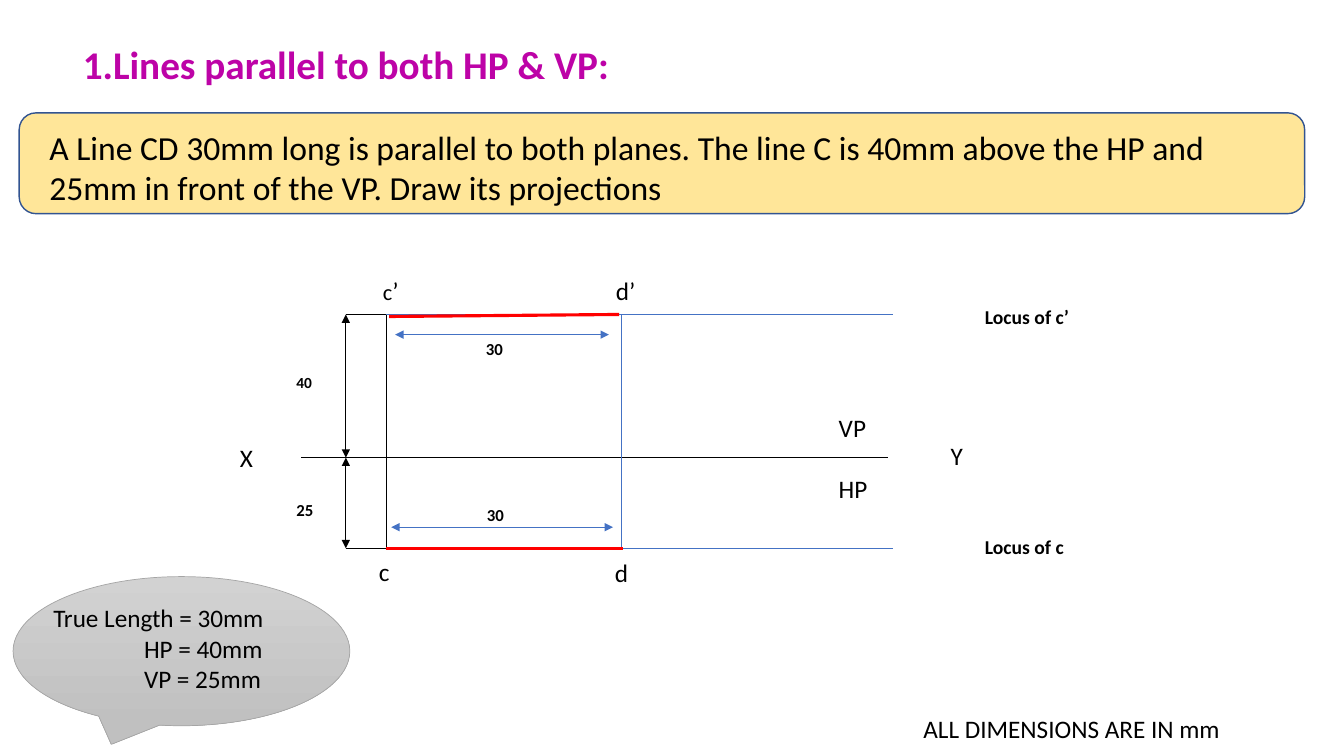
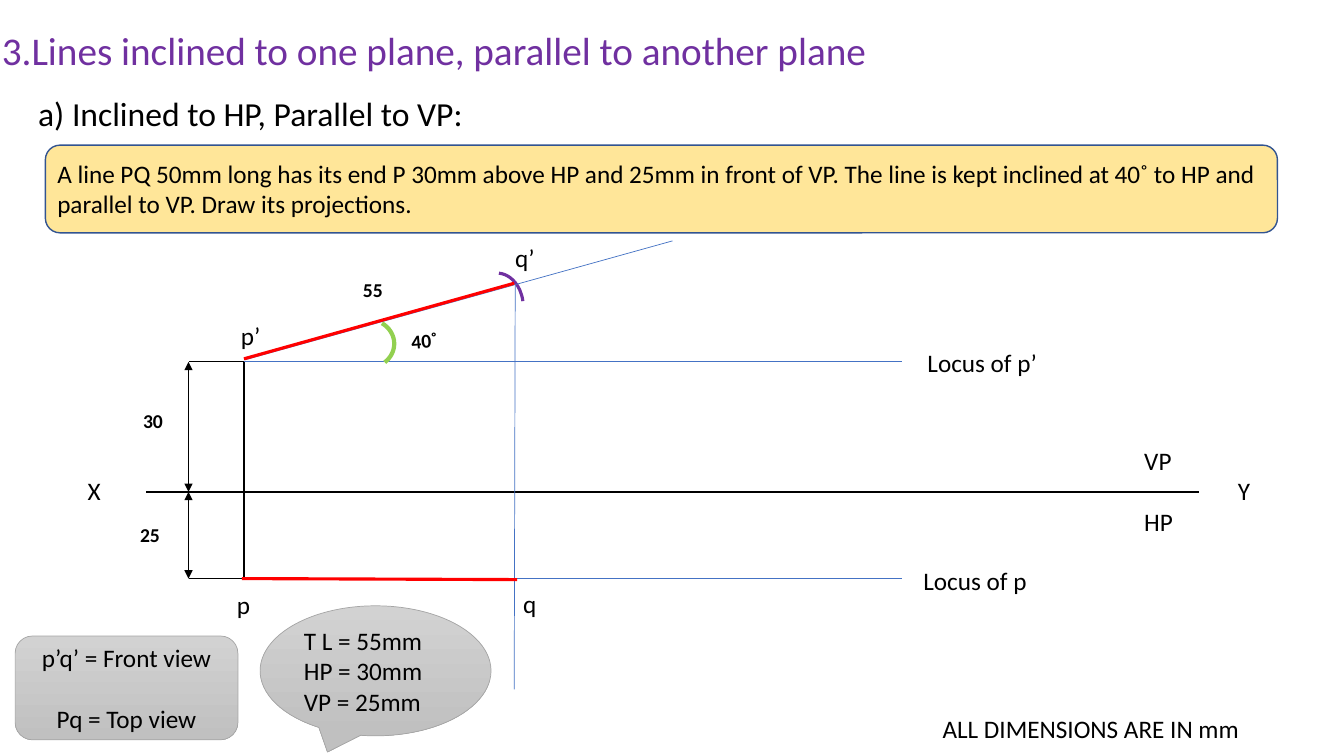
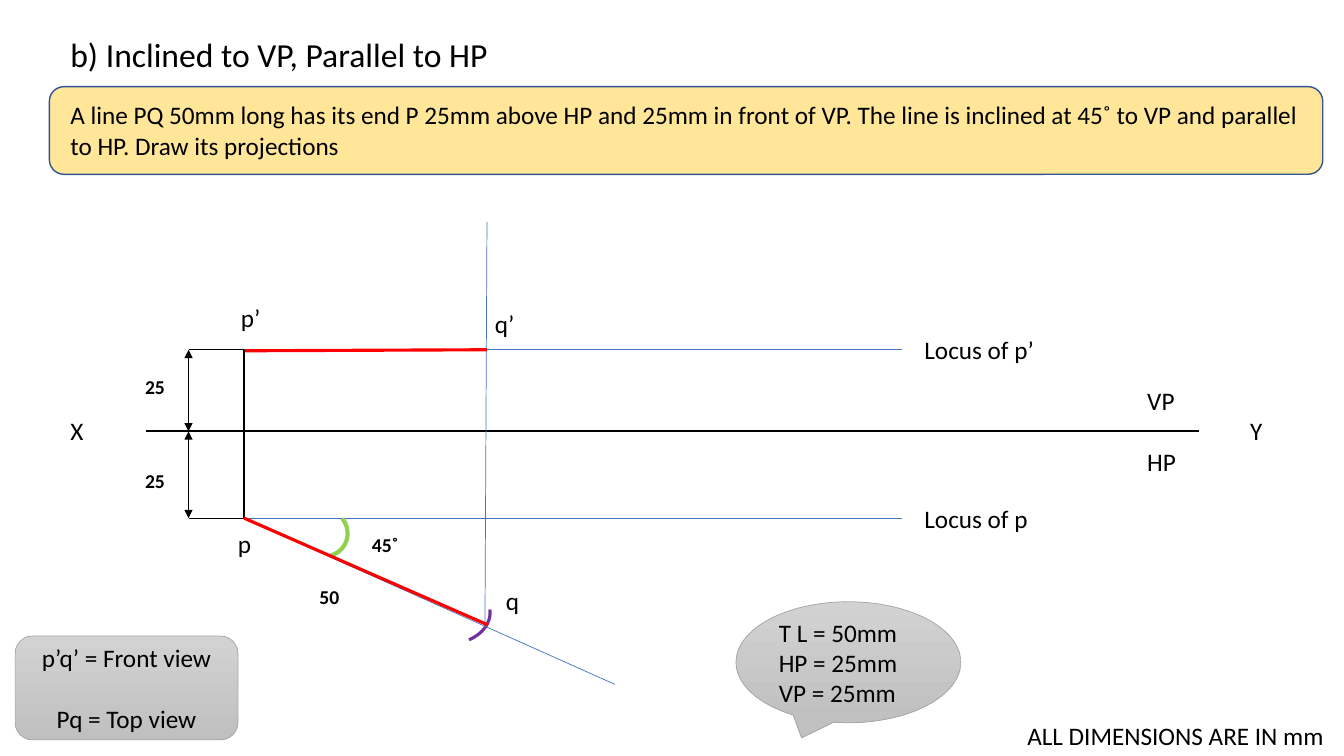
from dataclasses import dataclass

from lxml import etree
from pptx import Presentation
from pptx.dml.color import RGBColor
from pptx.enum.shapes import MSO_CONNECTOR, MSO_SHAPE
from pptx.enum.text import MSO_ANCHOR, MSO_AUTO_SIZE, PP_ALIGN
from pptx.oxml.ns import qn
from pptx.util import Inches, Pt

STRAIGHT = MSO_CONNECTOR.STRAIGHT
ARC = MSO_SHAPE.ARC
ROUNDED = MSO_SHAPE.ROUNDED_RECTANGLE
PROCESS = MSO_SHAPE.FLOWCHART_ALTERNATE_PROCESS
BUBBLE = MSO_SHAPE.OVAL_CALLOUT
LEFT, CENTER = PP_ALIGN.LEFT, PP_ALIGN.CENTER
MIDDLE = MSO_ANCHOR.MIDDLE
FIT_SHAPE = MSO_AUTO_SIZE.SHAPE_TO_FIT_TEXT


@dataclass(frozen=True)
class Theme:
    font: str = "Calibri"
    ink: RGBColor = RGBColor(0x00, 0x00, 0x00)
    paper: RGBColor = RGBColor(0xFF, 0xFF, 0xFF)
    magenta: RGBColor = RGBColor(0xBD, 0x03, 0xA7)
    purple: RGBColor = RGBColor(0x70, 0x30, 0xA0)
    blue: RGBColor = RGBColor(0x44, 0x72, 0xC4)
    red: RGBColor = RGBColor(0xFF, 0x00, 0x00)
    green: RGBColor = RGBColor(0x92, 0xD0, 0x50)
    cream: RGBColor = RGBColor(0xFF, 0xE6, 0x99)
    cream_edge: RGBColor = RGBColor(0x32, 0x54, 0x91)
    gray_top: RGBColor = RGBColor(0xD2, 0xD2, 0xD2)
    gray_bottom: RGBColor = RGBColor(0xC0, 0xC0, 0xC0)
    gray_edge: RGBColor = RGBColor(0xA5, 0xA5, 0xA5)
    title: float = 28
    heading: float = 24
    body: float = 18
    locus: float = 14
    dimension: float = 12
    blank_line: float = 22
    thin: float = 0.5
    axis: float = 1.5
    bold_line: float = 2.25
    angle_line: float = 3


THEME = Theme()


@dataclass(frozen=True)
class Label:
    lines: tuple[str, ...]
    left: float
    top: float
    width: float
    height: float = 0.4
    size: float = THEME.body
    color: RGBColor = THEME.ink
    bold: bool = False
    align: PP_ALIGN = LEFT
    wrap: bool = True
    gap: float = 0
    indent: float = 0
    rotation: float = 0
    prime: str = ""


@dataclass(frozen=True)
class Panel:
    kind: MSO_SHAPE
    left: float
    top: float
    width: float
    height: float
    lines: tuple[str, ...] = ()
    align: PP_ALIGN = LEFT
    gap: float = 0
    gray: bool = True


@dataclass(frozen=True)
class Segment:
    start: tuple[float, float]
    end: tuple[float, float]
    color: RGBColor = THEME.ink
    width: float = THEME.thin
    arrows: bool = False


@dataclass(frozen=True)
class Arc:
    left: float
    top: float
    height: float
    start_angle: float
    end_angle: float
    color: RGBColor
    line_width: float
    rotation: float = 0
    filled: bool = False


@dataclass(frozen=True)
class Projection:
    axis: float
    top: float
    bottom: float
    axis_start: float = 1.45
    axis_end: float = 11.89
    upright: float = 2.42
    ladder: float = 1.87
    locus_end: float = 8.95
    width: float = THEME.axis


@dataclass(frozen=True)
class Sheet:
    projection: Projection
    panels: tuple[Panel, ...]
    segments: tuple[Segment, ...]
    labels: tuple[Label, ...]
    arcs: tuple[Arc, ...] = ()


def write_lines(frame, lines, size, align=LEFT, color=THEME.ink, bold=False, gap=0, indent=0) -> None:
    for index, line in enumerate(lines):
        para = frame.paragraphs[0] if index == 0 else frame.add_paragraph()
        para.alignment = align
        if index and gap:
            para.space_before = Pt(gap)
        if index and indent:
            para._p.get_or_add_pPr().set("marL", str(Inches(indent)))
        para.add_run().text = line
        para.font.name = THEME.font
        para.font.size = Pt(size)
        para.font.bold = bold
        para.font.color.rgb = color


def draw_label(page, label: Label) -> None:
    box = page.shapes.add_textbox(
        Inches(label.left), Inches(label.top), Inches(label.width), Inches(label.height))
    box.rotation = label.rotation
    frame = box.text_frame
    frame.word_wrap = label.wrap
    frame.auto_size = FIT_SHAPE
    write_lines(frame, label.lines, label.size, label.align, label.color,
                label.bold, label.gap, label.indent)
    if label.prime:
        span = frame.paragraphs[0].add_run()
        span.text = label.prime
        span.font.size = Pt(THEME.body)


def draw_panel(page, panel: Panel) -> None:
    shape = page.shapes.add_shape(
        panel.kind, Inches(panel.left), Inches(panel.top), Inches(panel.width), Inches(panel.height))
    shape.shadow.inherit = False
    if panel.gray:
        shape.fill.gradient()
        shape.fill.gradient_angle = 270
        for stop, color in zip(shape.fill.gradient_stops, (THEME.gray_top, THEME.gray_bottom)):
            stop.color.rgb = color
    else:
        shape.fill.solid()
        shape.fill.fore_color.rgb = THEME.cream
    shape.line.color.rgb = THEME.gray_edge if panel.gray else THEME.cream_edge
    shape.line.width = Pt(THEME.thin if panel.gray else 1)
    shape.text_frame.vertical_anchor = MIDDLE
    write_lines(shape.text_frame, panel.lines, THEME.body, panel.align, gap=panel.gap)


def draw_segment(page, segment: Segment) -> None:
    points = [Inches(value) for value in segment.start + segment.end]
    connector = page.shapes.add_connector(STRAIGHT, *points)
    connector.line.color.rgb = segment.color
    connector.line.width = Pt(segment.width)
    properties = connector._element.spPr
    if segment.arrows:
        for end in ("a:headEnd", "a:tailEnd"):
            etree.SubElement(properties.find(qn("a:ln")), qn(end), type="triangle")
    etree.SubElement(properties, qn("a:effectLst"))


def draw_arc(page, arc: Arc) -> None:
    shape = page.shapes.add_shape(
        ARC, Inches(arc.left), Inches(arc.top), Inches(0.52), Inches(arc.height))
    shape.shadow.inherit = False
    shape.rotation = arc.rotation
    for index, angle in enumerate((arc.start_angle, arc.end_angle)):
        shape.adjustments[index] = angle * 0.6
    if arc.filled:
        shape.fill.solid()
        shape.fill.fore_color.rgb = THEME.paper
    else:
        shape.fill.background()
    shape.line.color.rgb = arc.color
    shape.line.width = Pt(arc.line_width)


def draw_projection(page, view: Projection) -> None:
    draw_segment(page, Segment((view.axis_start, view.axis), (view.axis_end, view.axis), width=view.width))
    draw_segment(page, Segment((view.upright, view.top), (view.upright, view.bottom), width=view.width))
    for level in (view.top, view.bottom):
        draw_segment(page, Segment((view.upright, level), (view.ladder, level)))
        draw_segment(page, Segment((view.ladder, level), (view.ladder, view.axis), arrows=True))
        draw_segment(page, Segment((view.upright, level), (view.locus_end, level), THEME.blue))


def draw_sheet(page, sheet: Sheet) -> None:
    for panel in sheet.panels:
        draw_panel(page, panel)
    draw_projection(page, sheet.projection)
    for arc in sheet.arcs:
        draw_arc(page, arc)
    for segment in sheet.segments:
        draw_segment(page, segment)
    for label in sheet.labels:
        draw_label(page, label)


def dimension(text: str, left: float, top: float, size: float = THEME.locus, rotation: float = 0) -> Label:
    height = 0.34 if size == THEME.locus else 0.3
    return Label((text,), left, top, 0.58, height, size, bold=True, rotation=rotation)


def point(text: str, left: float, top: float) -> Label:
    return Label((text,), left, top, 0.45)


def planes(left: float, top: float) -> Label:
    return Label(("VP", "HP"), left, top, 0.65, 1.01, gap=THEME.blank_line)


def units(left: float, top: float = 7.03) -> Label:
    return Label(("ALL DIMENSIONS ARE IN mm",), left, top, 3.25)


def true_line(start: tuple[float, float], end: tuple[float, float]) -> Segment:
    return Segment(start, end, THEME.red, THEME.bold_line)


def guide(start: tuple[float, float], end: tuple[float, float], arrows: bool = False) -> Segment:
    return Segment(start, end, THEME.blue, arrows=arrows)


def angle_arc(left: float, top: float, rotation: float = 0) -> Arc:
    return Arc(left, top, 0.48, 304.2, 47.92, THEME.green, THEME.angle_line, rotation, True)


def compass_arc(left: float, top: float, rotation: float = 0) -> Arc:
    return Arc(left, top, 0.67, 273.2, 347.42, THEME.purple, THEME.bold_line, rotation)


VIEWS = Panel(ROUNDED, 0.15, 6.31, 2.21, 1.03, ("p’q’ = Front view", "Pq = Top view"),
              CENTER, THEME.blank_line)

PARALLEL_TO_BOTH = Sheet(
    Projection(4.54, 3.12, 5.44, 2.99, 8.81, 3.83, 3.43, 8.86, THEME.thin),
    panels=(
        Panel(PROCESS, 0.19, 1.12, 12.75, 1, gray=False),
        Panel(BUBBLE, 0.13, 5.72, 3.34, 1.48),
    ),
    segments=(
        guide((6.16, 3.13), (6.16, 5.43)),
        guide((3.92, 3.32), (6.04, 3.32), True),
        guide((3.88, 5.23), (6.08, 5.23), True),
        true_line((3.86, 3.14), (6.14, 3.12)),
        true_line((3.83, 5.44), (6.18, 5.44)),
    ),
    labels=(
        Label(("1.Lines parallel to both HP & VP:",), -0.05, 0.35, 6.96, 0.57, THEME.title,
              THEME.magenta, True, CENTER, False),
        Label(("A Line CD 30mm long is parallel to both planes. The line C is 40mm above the HP and "
               "25mm in front of the VP. Draw its projections",), 0.39, 1.21, 11.91, 0.91, THEME.heading),
        point("X", 2.28, 4.34),
        point("Y", 9.33, 4.32),
        planes(8.22, 4.04),
        dimension("40", 2.84, 3.65, 11),
        dimension("25", 2.84, 4.91, THEME.dimension),
        dimension("30", 4.72, 3.31, THEME.dimension),
        dimension("30", 4.73, 4.96, THEME.dimension),
        Label(("c",), 3.7, 2.68, 0.45, size=16, prime="’"),
        point("c", 3.66, 5.47),
        point("d’", 6.01, 2.68),
        point("d", 6, 5.48),
        Label(("Locus of c’",), 9.67, 2.98, 1.71, 0.34, THEME.locus, bold=True),
        Label(("Locus of c",), 9.67, 5.26, 1.53, 0.34, THEME.locus, bold=True),
        units(9.06),
        Label(("True Length = 30mm", "HP = 40mm", "VP = 25mm"), 0.43, 5.93, 2.41, 1.01, indent=0.9),
    ),
)

INCLINED_TO_HP = Sheet(
    Projection(4.88, 3.59, 5.74),
    panels=(
        Panel(ROUNDED, 0.45, 1.44, 12.22, 0.87, gray=False),
        VIEWS,
        Panel(BUBBLE, 2.58, 6.01, 2.29, 1.29, ("T L = 55mm", "HP = 30mm", "VP = 25mm")),
    ),
    arcs=(angle_arc(3.39, 3.17), compass_arc(4.67, 2.71)),
    segments=(
        guide((2.43, 3.57), (6.67, 2.39)),
        guide((5.11, 2.84), (5.1, 6.84)),
        true_line((5.1, 2.81), (2.42, 3.56)),
        true_line((5.13, 5.75), (2.4, 5.74)),
    ),
    labels=(
        Label(("3.Lines inclined to one plane, parallel to another plane",), -0.08, 0.21, 13.4, 0.57,
              THEME.title, THEME.purple),
        Label(("a) Inclined to HP, Parallel to VP:",), 0.28, 0.87, 6.89, 0.5, THEME.heading),
        Label(("A line PQ 50mm long has its end P 30mm above HP and 25mm in front of VP. "
               "The line is kept inclined at 40˚ to HP and",
               "parallel to VP. Draw its projections."), 0.47, 1.52, 12.56, 0.71),
        point("X", 0.77, 4.67),
        point("Y", 12.18, 4.67),
        planes(11.25, 4.37),
        dimension("40˚", 3.98, 3.21, rotation=355.3),
        dimension("30", 1.32, 4.01),
        dimension("25", 1.29, 5.14),
        dimension("55", 3.5, 2.71),
        point("p’", 2.29, 3.13),
        point("p", 2.25, 5.8),
        point("q’", 5.01, 2.35),
        point("q", 5.09, 5.79),
        Label(("Locus of p’",), 9.1, 3.4, 1.45),
        Label(("Locus of p",), 9.06, 5.56, 1.45),
        units(9.25),
    ),
)

INCLINED_TO_VP = Sheet(
    Projection(4.28, 3.47, 5.14),
    panels=(
        Panel(ROUNDED, 0.49, 0.86, 12.63, 0.87, gray=False),
        VIEWS,
        Panel(BUBBLE, 7.3, 5.97, 2.23, 1.2, ("T L = 50mm", "HP = 25mm", "VP = 25mm")),
    ),
    arcs=(angle_arc(2.93, 5.04, 22), compass_arc(4.27, 5.78, 75.1)),
    segments=(
        guide((2.41, 5.14), (6.1, 6.79)),
        guide((4.83, 2.2), (4.81, 6.2)),
        true_line((4.84, 6.2), (2.42, 5.14)),
        true_line((4.83, 3.47), (2.43, 3.48)),
    ),
    labels=(
        Label(("b) Inclined to VP, Parallel to HP",), 0.6, 0.29, 6.67, 0.5, THEME.heading),
        Label(("A line PQ 50mm long has its end P 25mm above HP and 25mm in front of VP. "
               "The line is inclined at 45˚ to VP and parallel to HP. Draw its projections",),
              0.6, 0.94, 12.63, 0.71),
        point("X", 0.6, 4.07),
        point("Y", 12.3, 4.07),
        planes(11.28, 3.77),
        dimension("45˚", 3.59, 5.24),
        dimension("25", 1.34, 3.67),
        dimension("25", 1.34, 4.6),
        dimension("50", 3.07, 5.75),
        point("p’", 2.29, 2.95),
        point("p", 2.26, 5.19),
        point("q’", 4.81, 3.01),
        point("q", 4.92, 5.76),
        Label(("Locus of p’",), 9.07, 3.27, 1.45),
        Label(("Locus of p",), 9.07, 4.94, 1.45),
        units(10.09, 7.1),
    ),
)


def main() -> None:
    deck = Presentation()
    deck.slide_width, deck.slide_height = Inches(13.33), Inches(7.5)
    for sheet in (PARALLEL_TO_BOTH, INCLINED_TO_HP, INCLINED_TO_VP):
        draw_sheet(deck.slides.add_slide(deck.slide_layouts[6]), sheet)
    deck.save("out.pptx")


if __name__ == "__main__":
    main()
